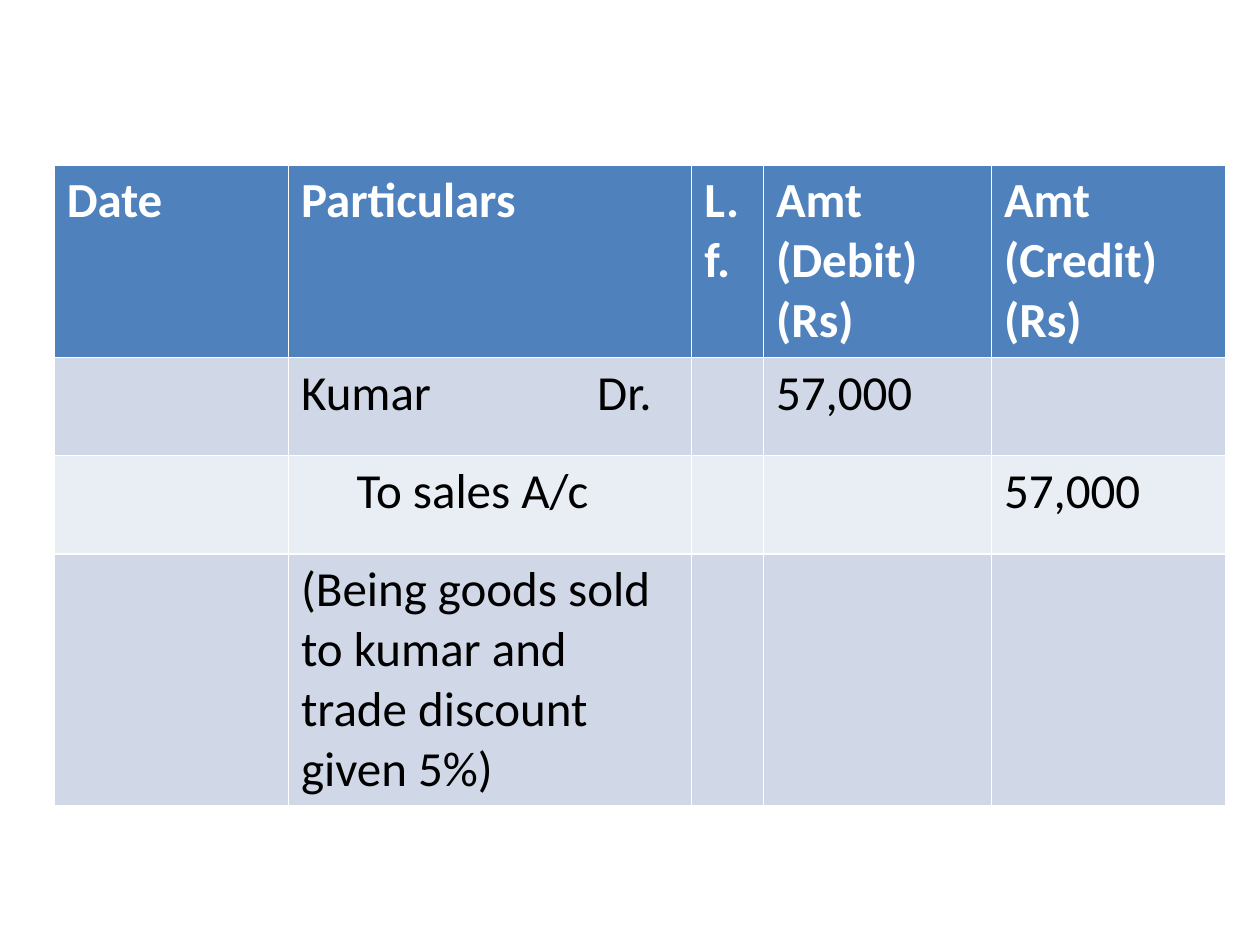
"""Build a journal entry slide with one ledger table."""
from typing import NamedTuple

from lxml import etree
from pptx import Presentation
from pptx.dml.color import RGBColor
from pptx.oxml.ns import qn
from pptx.util import Inches, Pt

WHITE = RGBColor(0xFF, 0xFF, 0xFF)
BLACK = RGBColor(0x00, 0x00, 0x00)
BLUE = RGBColor(0x4F, 0x81, 0xBD)
PALE = RGBColor(0xD0, 0xD8, 0xE8)
LIGHT = RGBColor(0xE9, 0xED, 0xF4)
WIDTHS = (1.86, 3.2, 0.57, 1.81, 1.86)


class Entry(NamedTuple):
    """One row of the ledger."""
    height: float
    fill: RGBColor
    texts: tuple[str, ...]
    indent: float = 0
    tab: float = 0


ENTRIES = (
    Entry(0.99, BLUE, ("Date", "Particulars", "L.f.", "Amt (Debit) (Rs)", "Amt (Credit) (Rs)")),
    Entry(0.78, PALE, ("", "Kumar\tDr.", "", "57,000", ""), tab=2.35),
    Entry(0.78, LIGHT, ("", "To sales A/c", "", "", "57,000"), indent=0.44),
    Entry(0.99, PALE, ("", "(Being goods sold to kumar and trade discount given 5%)", "", "", "")),
)


def write(cell, text: str, *, color: RGBColor, bold: bool, indent: float = 0, tab: float = 0) -> None:
    """Put formatted text in a cell."""
    para = cell.text_frame.paragraphs[0]
    props = para._p.get_or_add_pPr()
    if indent:
        props.set("marL", str(Inches(indent)))
        props.set("indent", "0")
    if tab:
        tabs = etree.SubElement(props, qn("a:tabLst"))
        etree.SubElement(tabs, qn("a:tab"), pos=str(Inches(tab)), algn="l")
    run = para.add_run()
    run.text = text
    run.font.name = "Calibri"
    run.font.size = Pt(28)
    run.font.bold = bold
    run.font.color.rgb = color


def fill_row(table, index: int, entry: Entry) -> None:
    """Draw one ledger row."""
    head = index == 0
    table.rows[index].height = Inches(entry.height)
    for col, text in enumerate(entry.texts):
        cell = table.cell(index, col)
        cell.fill.solid()
        cell.fill.fore_color.rgb = entry.fill
        if text:
            first = col == 1
            write(cell, text, color=WHITE if head else BLACK, bold=head,
                  indent=entry.indent if first else 0, tab=entry.tab if first else 0)


def main() -> None:
    """Build and save the deck."""
    deck = Presentation()
    deck.slide_width, deck.slide_height = Inches(10), Inches(7.5)
    slide = deck.slides.add_slide(deck.slide_layouts[6])
    high = sum(entry.height for entry in ENTRIES)
    frame = slide.shapes.add_table(len(ENTRIES), len(WIDTHS), Inches(0.43), Inches(1.31),
                                   Inches(sum(WIDTHS)), Inches(high))
    table = frame.table
    for column, width in zip(table.columns, WIDTHS):
        column.width = Inches(width)
    for index, entry in enumerate(ENTRIES):
        fill_row(table, index, entry)
    deck.save("out.pptx")


if __name__ == "__main__":
    main()
